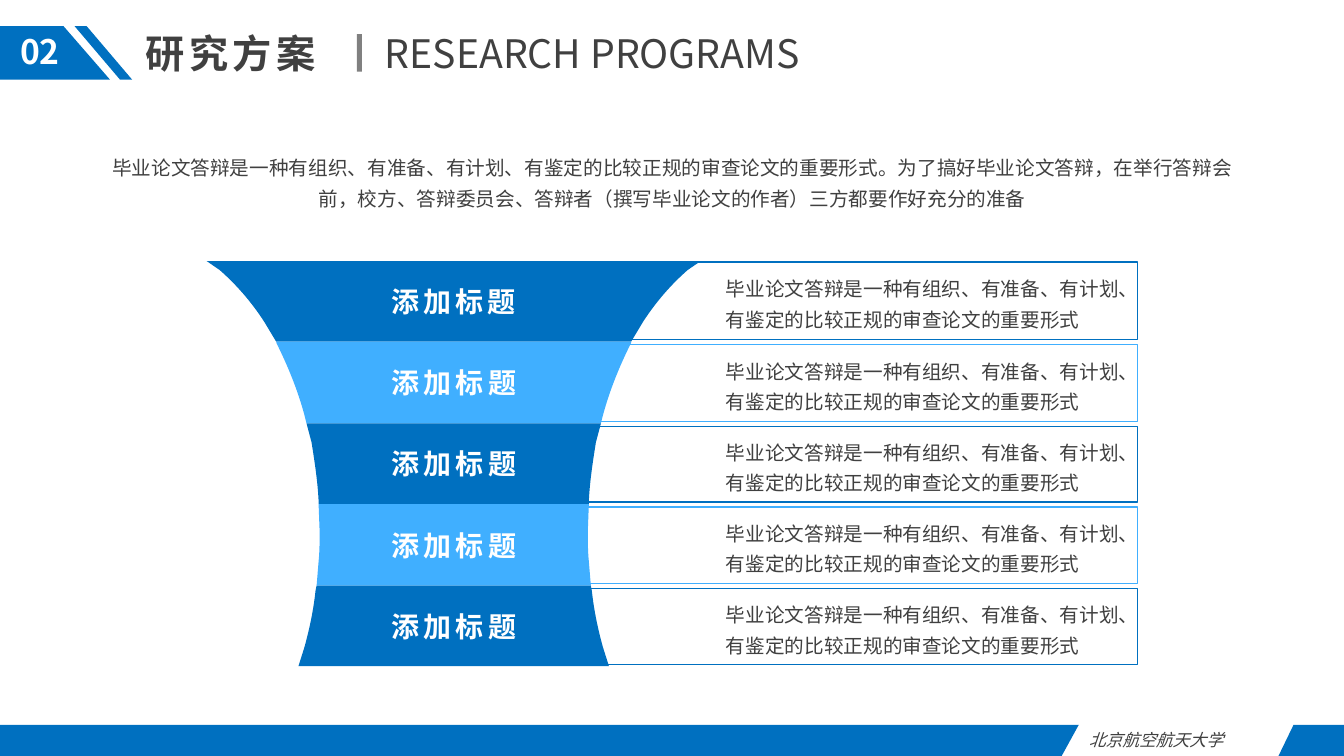
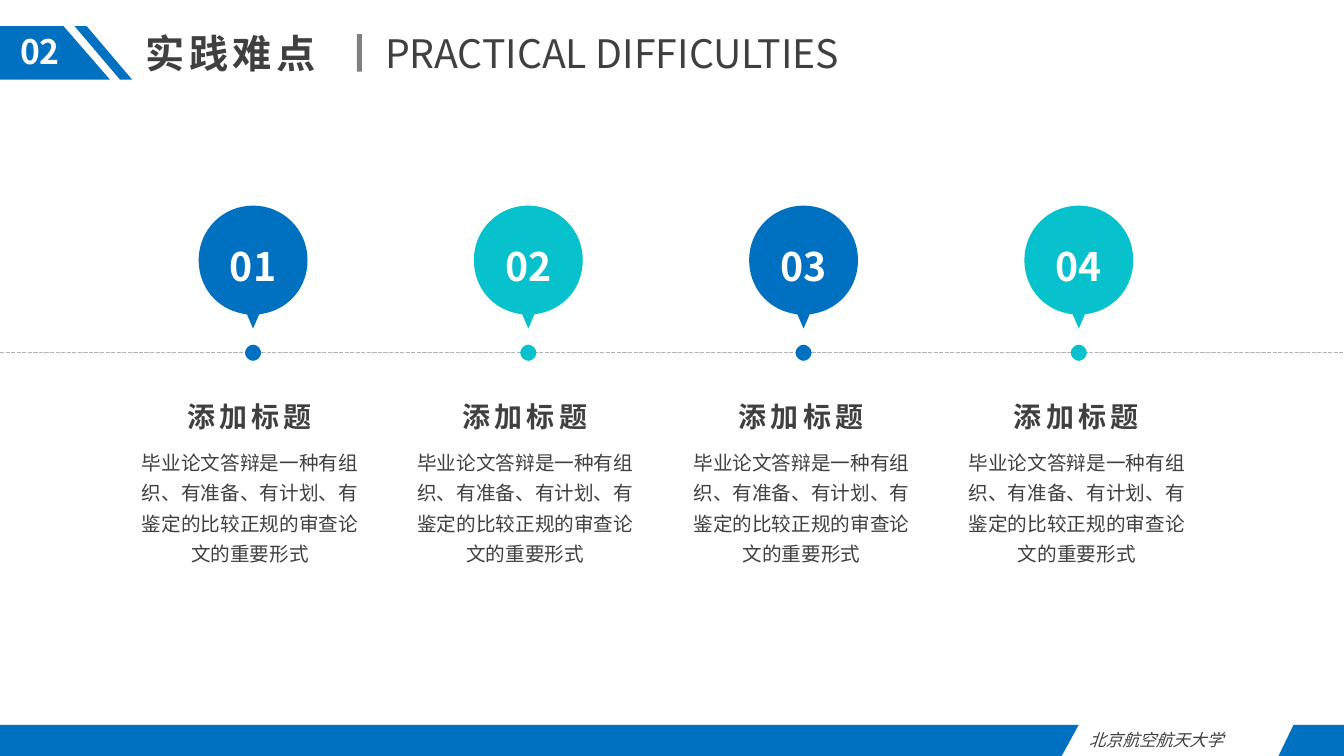
"""Build two thesis defence slides: a funnel of research steps and a line of pins."""
import dataclasses
import typing

import lxml.etree
import pptx
import pptx.dml.color
import pptx.enum.dml
import pptx.enum.shapes
import pptx.enum.text
import pptx.oxml.ns
import pptx.shapes.autoshape
import pptx.slide
import pptx.text.text
import pptx.util

PX = 9144
SLIDE_W, SLIDE_H = 1333, 750
ALIGN = pptx.enum.text.PP_ALIGN
ANCHOR = pptx.enum.text.MSO_ANCHOR
RECT = pptx.enum.shapes.MSO_SHAPE.RECTANGLE

Slide = pptx.slide.Slide
Shape = pptx.shapes.autoshape.Shape
Point = tuple[int, int]
Segment = tuple[Point, ...]
Outline = list[Segment]


@dataclasses.dataclass(frozen=True)
class Style:
    size: int
    color: str
    bold: bool = False
    italic: bool = False
    tracking: int = 0
    spacing: float = 1.0
    latin: str = "Noto Sans CJK SC"


@dataclasses.dataclass(frozen=True)
class Theme:
    blue: str = "0070C0"
    sky: str = "40AFFF"
    teal: str = "07C1CC"
    bar: str = "808080"
    rule: str = "B2B2B2"
    east_asian: str = "Noto Sans CJK SC"
    title: Style = Style(28, "404040", bold=True, tracking=3)
    english: Style = Style(28, "404040")
    section: Style = Style(24, "FFFFFF", bold=True)
    footer: Style = Style(12, "404040", italic=True)
    heading: Style = Style(20, "404040", bold=True, tracking=3)
    band: Style = Style(20, "FFFFFF", bold=True, tracking=3)
    number: Style = Style(28, "FFFFFF", bold=True)
    card: Style = Style(14, "404040", spacing=1.3)
    body: Style = Style(14, "404040", spacing=1.3, latin="Arial")


THEME = Theme()


class Box(typing.NamedTuple):
    x: int
    y: int
    w: int
    h: int


class Band(typing.NamedTuple):
    color: str
    card_top: int
    edge: list[Point]


class Pin(typing.NamedTuple):
    number: str
    color: str


HEADING = "添加标题"
SUMMARY = "毕业论文答辩是一种有组织、有准备、有计划、有鉴定的比较正规的审查论文的重要形式"
INTRO = SUMMARY + ("。为了搞好毕业论文答辩，在举行答辩会前，校方、答辩委员会、"
                   "答辩者（撰写毕业论文的作者）三方都要作好充分的准备")

FUNNEL_X = 450
BANDS = [
    Band(THEME.blue, 260, [(245, 259), (232, 268), (216, 282), (201, 299), (188, 319), (176, 339)]),
    Band(THEME.sky, 342, [(176, 339), (176, 340), (165, 362), (155, 386), (148, 412), (146, 420)]),
    Band(THEME.blue, 423, [(146, 420), (141, 439), (138, 458), (135, 477), (134, 497), (134, 500)]),
    Band(THEME.sky, 503, [(134, 500), (133, 527), (133, 537), (133, 547), (134, 557), (136, 581)]),
    Band(THEME.blue, 584, [(136, 581), (137, 586), (139, 605), (143, 624), (148, 642), (154, 661)]),
]

PIN_X, PIN_PITCH = 251, 273
CAPTION_X, CAPTION_SPAN = 129, 820
PINS = [Pin("01", THEME.blue), Pin("02", THEME.teal), Pin("03", THEME.blue), Pin("04", THEME.teal)]
BALLOON_HALF = [(0, 204), (30, 204), (54, 228), (54, 258), (54, 285), (36, 306), (11, 311), (6, 312), (0, 326)]
DOT_HALF = [(0, 342), (4, 342), (8, 346), (8, 350), (8, 354), (4, 358), (0, 358)]


def px(n: int) -> pptx.util.Emu:
    """Turn px into EMU."""
    return pptx.util.Emu(n * PX)


def rgb(color: str) -> pptx.dml.color.RGBColor:
    """Turn a hex string into a colour."""
    return pptx.dml.color.RGBColor.from_string(color)


def write(tf: pptx.text.text.TextFrame, text: str, style: Style,
          align: ALIGN = ALIGN.LEFT, indent: int = 0) -> None:
    """Write one styled paragraph into a text frame."""
    p = tf.paragraphs[0]
    p.text = text
    p.alignment = align
    p.line_spacing = style.spacing
    font = p.font
    font.size = pptx.util.Pt(style.size)
    font.bold, font.italic = style.bold, style.italic
    font.name = style.latin
    font.color.rgb = rgb(style.color)
    pPr = p._p.get_or_add_pPr()
    if indent:
        pPr.set("marL", str(px(indent)))
        pPr.set("indent", "0")
    rPr = pPr.find(pptx.oxml.ns.qn("a:defRPr"))
    rPr.set("spc", str(style.tracking * 100))
    ea = lxml.etree.SubElement(rPr, pptx.oxml.ns.qn("a:ea"))
    ea.set("typeface", THEME.east_asian)


def add_text(s: Slide, box: Box, text: str, style: Style,
             align: ALIGN = ALIGN.LEFT, wrap: bool = True) -> None:
    """Add a text box that grows with its text."""
    tf = s.shapes.add_textbox(*map(px, box)).text_frame
    tf.word_wrap = wrap
    tf.auto_size = pptx.enum.text.MSO_AUTO_SIZE.SHAPE_TO_FIT_TEXT
    write(tf, text, style, align)


def paint(sp: Shape, color: str) -> Shape:
    """Give a shape a plain fill without line or shadow."""
    sp.shadow.inherit = False
    sp.fill.solid()
    sp.fill.fore_color.rgb = rgb(color)
    sp.line.fill.background()
    return sp


def polygon(*points: Point) -> Outline:
    """Make an outline of straight segments."""
    return [(point,) for point in points]


def mirrored(cx: int, half: list[Point], curves: tuple[int, ...]) -> Outline:
    """Go down the right half and up the left, with curves starting after the given points."""
    right = [(cx + x, y) for x, y in half]
    left = [(cx - x, y) for x, y in reversed(half)]
    points = right + (left[1:] if half[-1][0] == 0 else left)
    starts = set(curves) | {len(points) - 4 - i for i in curves}
    outline, i = [(points[0],)], 0
    while i < len(points) - 1:
        size = 3 if i in starts else 1
        outline.append(tuple(points[i + 1:i + 1 + size]))
        i += size
    return outline


def add_outline(s: Slide, color: str, *outlines: Outline) -> Shape:
    """Add one filled freeform, drawing three-point segments as Bezier curves."""
    builder = s.shapes.build_freeform(*outlines[0][0][0], scale=PX)
    for i, outline in enumerate(outlines):
        if i:
            builder.move_to(*outline[0][0])
        builder.add_line_segments([q for segment in outline[1:] for q in segment], close=True)
    sp = builder.convert_to_shape()
    lines = iter(list(sp._element.iter(pptx.oxml.ns.qn("a:lnTo"))))
    for outline in outlines:
        for segment in outline[1:]:
            line = next(lines)
            if len(segment) == 3:
                line.tag = pptx.oxml.ns.qn("a:cubicBezTo")
                for control in (next(lines), next(lines)):
                    line.append(control[0])
                    control.getparent().remove(control)
    return paint(sp, color)


def add_frame(s: Slide, title: str, english: str, width: int) -> None:
    """Draw the title row and the footer band."""
    add_text(s, Box(135, 24, 196, 57), title, THEME.title)
    paint(s.shapes.add_shape(RECT, *map(px, Box(354, 34, 5, 37))), THEME.bar)
    add_text(s, Box(372, 24, width, 57), english, THEME.english, wrap=False)
    for outline in (
        polygon((0, 26), (63, 26), (109, 79), (0, 79)),
        polygon((86, 26), (131, 79), (119, 79), (74, 26)),
        polygon((0, 719), (1070, 719), (1053, SLIDE_H), (0, SLIDE_H)),
        polygon((1283, 719), (SLIDE_W, 719), (SLIDE_W, SLIDE_H), (1268, SLIDE_H)),
    ):
        add_outline(s, THEME.blue, outline)
    add_text(s, Box(0, 26, 79, 50), "02", THEME.section, ALIGN.CENTER)
    add_text(s, Box(1070, 719, 198, 30), "北京航空航天大学", THEME.footer, ALIGN.JUSTIFY)


def add_card(s: Slide, band: Band) -> None:
    """Draw the outlined description beside a funnel band."""
    height = band.edge[-1][1] - 2 - band.card_top
    sp = s.shapes.add_shape(RECT, *map(px, Box(570, band.card_top, 558, height)))
    sp.shadow.inherit = False
    sp.fill.background()
    sp.line.color.rgb = rgb(band.color)
    sp.line.width = pptx.util.Pt(1)
    tf = sp.text_frame
    tf.margin_left = tf.margin_top = tf.margin_right = tf.margin_bottom = 0
    tf.vertical_anchor = ANCHOR.MIDDLE
    tf.word_wrap = True
    write(tf, SUMMARY, THEME.card, indent=150)


def add_band(s: Slide, band: Band) -> None:
    """Draw one symmetric funnel band with its heading."""
    tf = add_outline(s, band.color, mirrored(FUNNEL_X, band.edge, (1,))).text_frame
    tf.vertical_anchor = ANCHOR.MIDDLE
    write(tf, HEADING, THEME.band, ALIGN.CENTER)


def add_pin(s: Slide, pin: Pin, cx: int) -> None:
    """Draw a numbered pin and its dot on the line."""
    balloon = mirrored(cx, BALLOON_HALF, (0, 3))
    dot = mirrored(cx, DOT_HALF, (0, 3))
    tf = add_outline(s, pin.color, dot, balloon).text_frame
    tf.margin_left = tf.margin_top = tf.margin_right = 0
    tf.margin_bottom = px(35)
    tf.vertical_anchor = ANCHOR.MIDDLE
    write(tf, pin.number, THEME.number, ALIGN.CENTER)


def add_timeline(s: Slide, y: int) -> None:
    """Draw the dashed line across the slide."""
    line = s.shapes.add_connector(pptx.enum.shapes.MSO_CONNECTOR.STRAIGHT,
                                  0, px(y), px(SLIDE_W), px(y))
    line.line.color.rgb = rgb(THEME.rule)
    line.line.width = pptx.util.Pt(1)
    line.line.dash_style = pptx.enum.dml.MSO_LINE.SQUARE_DOT
    lxml.etree.SubElement(line._element.spPr, pptx.oxml.ns.qn("a:effectLst"))


def build_programs(s: Slide) -> None:
    """Build the funnel slide."""
    add_frame(s, "研究方案", "RESEARCH PROGRAMS", 457)
    for band in BANDS:
        add_card(s, band)
        add_band(s, band)
    add_text(s, Box(96, 143, 1142, 68), INTRO, THEME.body, ALIGN.CENTER)


def build_difficulties(s: Slide) -> None:
    """Build the pin slide."""
    add_frame(s, "实践难点", "PRACTICAL DIFFICULTIES", 489)
    add_timeline(s, 350)
    for i, pin in enumerate(PINS):
        add_pin(s, pin, PIN_X + i * PIN_PITCH)
        x = CAPTION_X + round(i * CAPTION_SPAN / (len(PINS) - 1))
        add_text(s, Box(x, 435, 238, 133), SUMMARY, THEME.body, ALIGN.CENTER)
        add_text(s, Box(x + 44, 391, 149, 44), HEADING, THEME.heading, ALIGN.CENTER, wrap=False)


def main() -> None:
    """Build and save the presentation."""
    prs = pptx.Presentation()
    prs.slide_width, prs.slide_height = px(SLIDE_W), px(SLIDE_H)
    for build in (build_programs, build_difficulties):
        build(prs.slides.add_slide(prs.slide_layouts[6]))
    prs.save("out.pptx")


if __name__ == "__main__":
    main()
